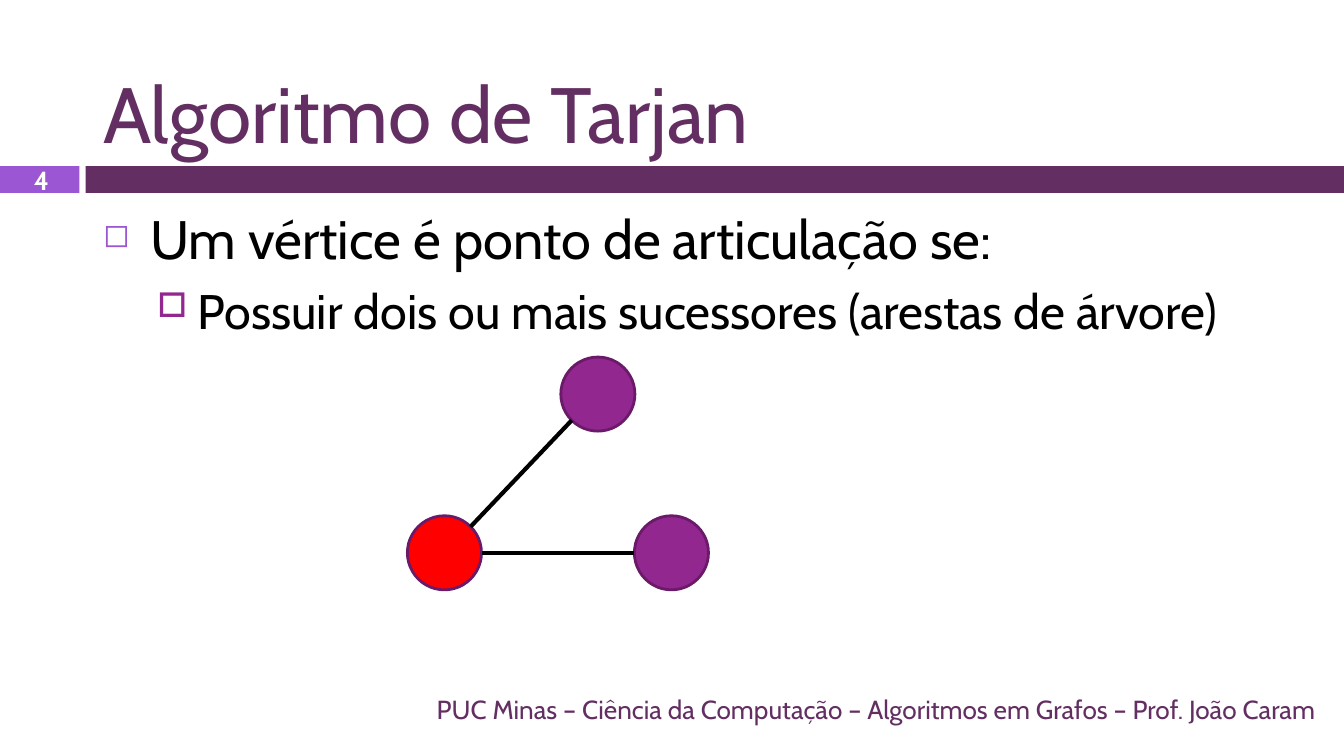
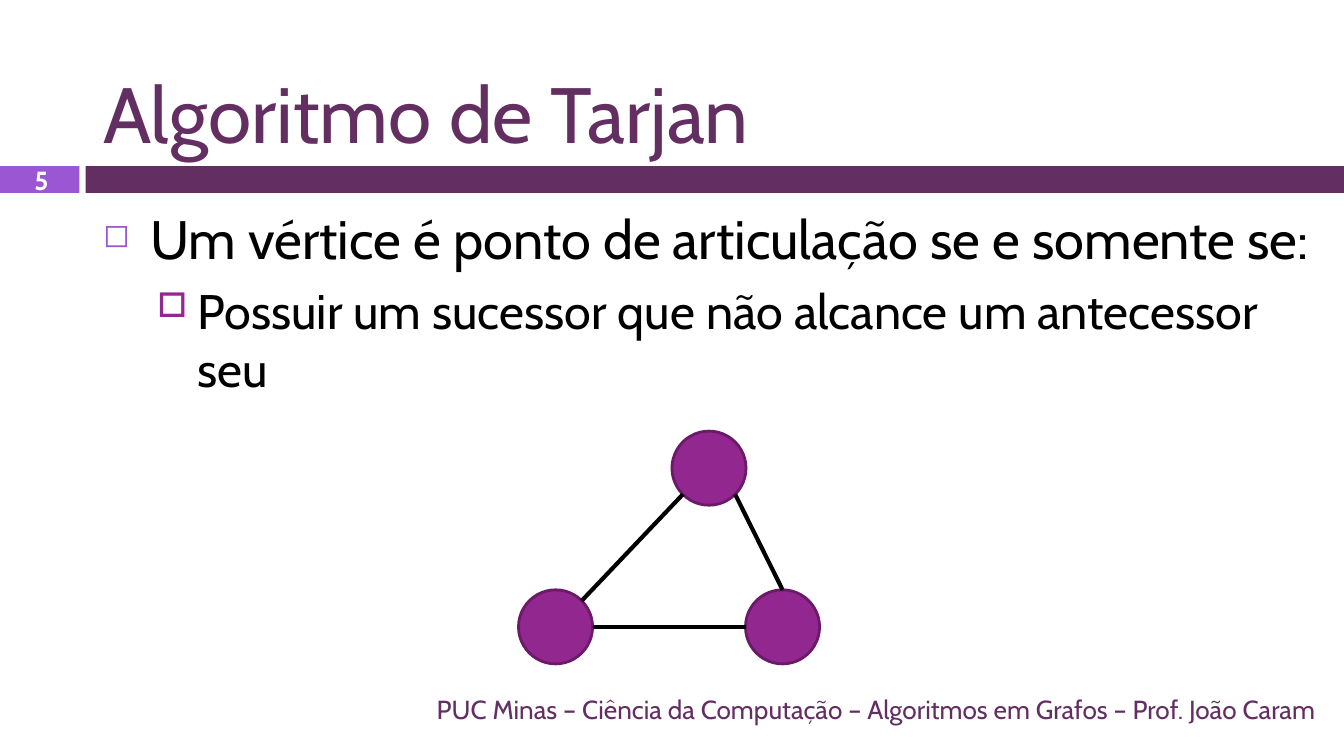
"""Build two slides on articulation points in Tarjan's algorithm."""
from dataclasses import dataclass
from math import cos, radians, sin

from lxml.etree import SubElement
from pptx import Presentation
from pptx.dml.color import RGBColor
from pptx.enum.shapes import MSO_CONNECTOR, MSO_SHAPE
from pptx.enum.text import MSO_ANCHOR, PP_ALIGN
from pptx.oxml.ns import qn
from pptx.util import Cm, Pt

TITLE = "Algoritmo de Tarjan"
FOOTER = "PUC Minas – Ciência da Computação – Algoritmos em Grafos – Prof. João Caram"

SLIDES = [
    {
        "number": "4",
        "body": ["Um vértice é ponto de articulação se:",
                 "Possuir dois ou mais sucessores (arestas de árvore)"],
        "origin": (7.7, 9.75),
        "highlighted": "root",
        "edges": [("top", "root"), ("right", "root")],
    },
    {
        "number": "5",
        "body": ["Um vértice é ponto de articulação se e somente se:",
                 "Possuir um sucessor que não alcance um antecessor seu"],
        "origin": (9.8, 11.15),
        "highlighted": None,
        "edges": [("top", "root"), ("right", "root"), ("top", "right")],
    },
]

NODES = {"root": (0, 0), "right": (4.29, 0), "top": (2.9, -3)}
EDGE_ANGLES = {("top", "root"): (135, -45),
               ("right", "root"): (180, 0),
               ("top", "right"): (45, -90)}
DIAMETER = 1.4

WIDTH, HEIGHT = 25.4, 14.29
CONTENT_LEFT, CONTENT_WIDTH = 1.7, 23.42
BAND_TOP, BAND_HEIGHT = 3.14, 0.51
BADGE_WIDTH, BAND_LEFT = 1.5, 1.62


@dataclass(frozen=True)
class Theme:
    """Colours, font and sizes shared by the slides."""
    font: str = "Cabin"
    dark: str = "632E62"
    badge: str = "9B57D3"
    node: str = "92278F"
    outline: str = "6A1A68"
    highlight: str = "FF0000"
    ink: str = "000000"
    paper: str = "FFFFFF"
    title_size: int = 42
    small_size: int = 14
    outline_width: float = 1.5
    edge_width: float = 2.25


THEME = Theme()

LEVELS = [
    {"size": 29, "before": 0, "margin": 0.89, "hang": 0.89,
     "bullet": "◻", "color": THEME.badge, "scale": 60},
    {"size": 26, "before": 5.5, "margin": 1.78, "hang": 0.76,
     "bullet": "□", "color": THEME.node, "scale": 70},
]


def rgb(color):
    return RGBColor.from_string(color)


def format_runs(paragraph, size, color, bold=False):
    for run in paragraph.runs:
        run.font.name = THEME.font
        run.font.size = Pt(size)
        run.font.bold = bold
        run.font.color.rgb = rgb(color)


def add_text(slide, text, top, height, anchor):
    box = slide.shapes.add_textbox(
        Cm(CONTENT_LEFT), Cm(top), Cm(CONTENT_WIDTH), Cm(height))
    text_frame = box.text_frame
    text_frame.word_wrap = True
    text_frame.vertical_anchor = anchor
    text_frame.text = text
    return text_frame


def add_filled(slide, preset, left, top, width, height, color):
    shape = slide.shapes.add_shape(preset, Cm(left), Cm(top), Cm(width), Cm(height))
    shape.shadow.inherit = False
    shape.fill.solid()
    shape.fill.fore_color.rgb = rgb(color)
    shape.line.fill.background()
    return shape


def add_bullet(paragraph, level):
    properties = paragraph._p.get_or_add_pPr()
    properties.set("marL", str(Cm(level["margin"])))
    properties.set("indent", str(-Cm(level["hang"])))
    color = SubElement(properties, qn("a:buClr"))
    SubElement(color, qn("a:srgbClr"), val=level["color"])
    SubElement(properties, qn("a:buSzPct"), val=str(level["scale"] * 1000))
    SubElement(properties, qn("a:buChar"), char=level["bullet"])


def add_frame(slide, number):
    add_filled(slide, MSO_SHAPE.RECTANGLE, BAND_LEFT, BAND_TOP,
               WIDTH - BAND_LEFT, BAND_HEIGHT, THEME.dark)
    badge = add_filled(slide, MSO_SHAPE.RECTANGLE, 0, BAND_TOP,
                       BADGE_WIDTH, BAND_HEIGHT, THEME.badge)
    badge.text_frame.text = number
    badge.text_frame.margin_left = Cm(0.32)
    badge.text_frame.vertical_anchor = MSO_ANCHOR.MIDDLE
    paragraph = badge.text_frame.paragraphs[0]
    paragraph.alignment = PP_ALIGN.CENTER
    format_runs(paragraph, THEME.small_size, THEME.paper, bold=True)

    title = add_text(slide, TITLE, 0.33, 2.8, MSO_ANCHOR.BOTTOM)
    format_runs(title.paragraphs[0], THEME.title_size, THEME.dark)

    footer = add_text(slide, FOOTER, 13.03, 0.76, MSO_ANCHOR.MIDDLE)
    footer.paragraphs[0].alignment = PP_ALIGN.RIGHT
    format_runs(footer.paragraphs[0], THEME.small_size, THEME.dark)


def add_body(slide, lines):
    text_frame = add_text(slide, "\n".join(lines), 3.76, 9.09, MSO_ANCHOR.TOP)
    for index, (paragraph, level) in enumerate(zip(text_frame.paragraphs, LEVELS)):
        paragraph.level = index
        add_bullet(paragraph, level)
        paragraph.space_before = Pt(level["before"])
        format_runs(paragraph, level["size"], THEME.ink)


def rim_point(corner, angle):
    radius = DIAMETER / 2
    left, top = corner
    return (Cm(left + radius * (1 + cos(radians(angle)))),
            Cm(top + radius * (1 + sin(radians(angle)))))


def add_graph(slide, origin, highlighted, edges):
    corners = {name: (origin[0] + across, origin[1] + down)
               for name, (across, down) in NODES.items()}
    for name, (left, top) in corners.items():
        color = THEME.highlight if name == highlighted else THEME.node
        node = add_filled(slide, MSO_SHAPE.OVAL, left, top, DIAMETER, DIAMETER, color)
        node.line.color.rgb = rgb(THEME.outline)
        node.line.width = Pt(THEME.outline_width)
    for edge in edges:
        begin, end = (rim_point(corners[name], angle)
                      for name, angle in zip(edge, EDGE_ANGLES[edge]))
        connector = slide.shapes.add_connector(MSO_CONNECTOR.STRAIGHT, *begin, *end)
        connector.line.color.rgb = rgb(THEME.ink)
        connector.line.width = Pt(THEME.edge_width)
        SubElement(connector._element.spPr, qn("a:effectLst"))


def main():
    presentation = Presentation()
    presentation.slide_width = Cm(WIDTH)
    presentation.slide_height = Cm(HEIGHT)
    for content in SLIDES:
        slide = presentation.slides.add_slide(presentation.slide_layouts[6])
        add_frame(slide, content["number"])
        add_body(slide, content["body"])
        add_graph(slide, content["origin"], content["highlighted"], content["edges"])
    presentation.save("out.pptx")


if __name__ == "__main__":
    main()
